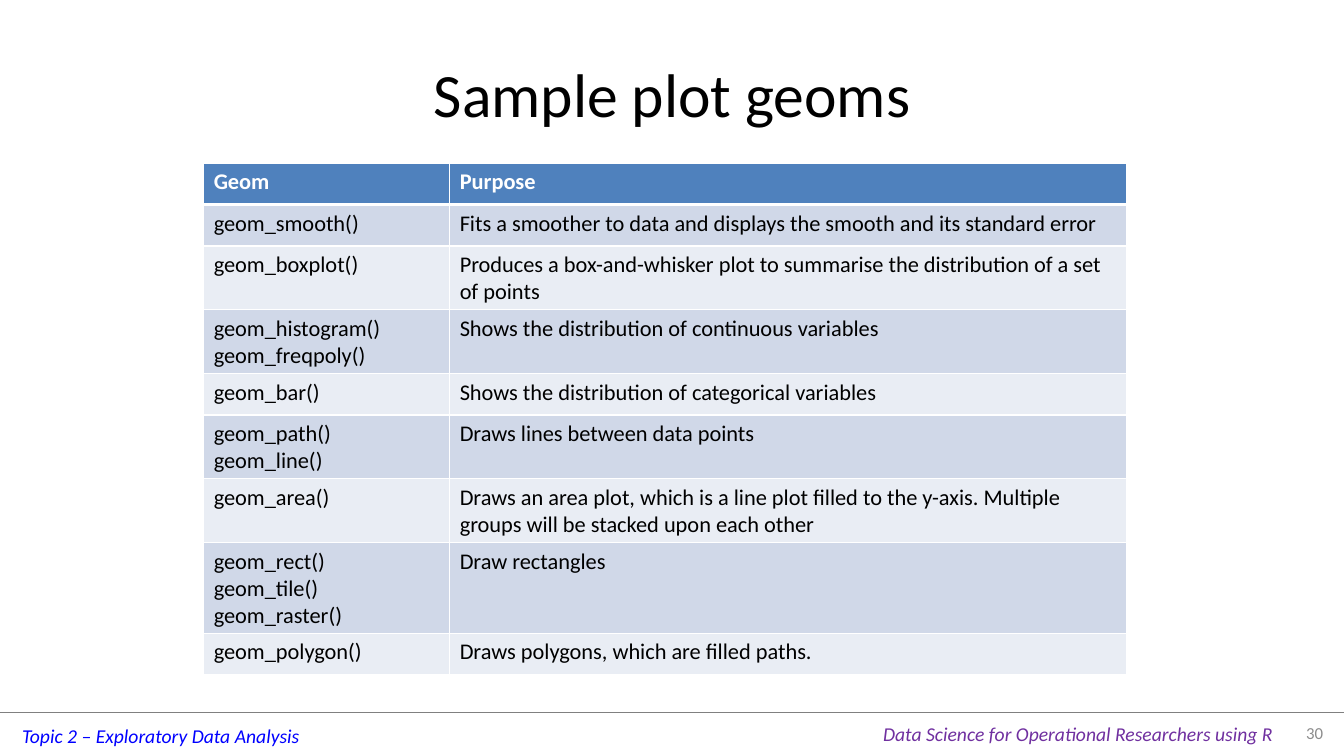
from lxml import etree
from pptx import Presentation
from pptx.dml.color import RGBColor
from pptx.enum import shapes, text
from pptx.oxml import ns
from pptx.util import Inches, Pt

HUES = {
    "black": "000000", "white": "FFFFFF", "blue": "0000FF",
    "purple": "7030A0", "gray": "8C8C8C", "rule": "808080",
    "head": "4F81BD", "odd": "D0D8E8", "even": "E9EDF4",
}

GEOMS = [
    ("Geom", "Purpose"),
    ("geom_smooth()", "Fits a smoother to data and displays the smooth and its standard error"),
    ("geom_boxplot()", "Produces a box-and-whisker plot to summarise the distribution of a set of points"),
    ("geom_histogram()\ngeom_freqpoly()", "Shows the distribution of continuous variables"),
    ("geom_bar()", "Shows the distribution of categorical variables"),
    ("geom_path()\ngeom_line()", "Draws lines between data points"),
    ("geom_area()", "Draws an area plot, which is a line plot filled to the y-axis. "
                    "Multiple groups will be stacked upon each other"),
    ("geom_rect()\ngeom_tile()\ngeom_raster()", "Draw rectangles"),
    ("geom_polygon()", "Draws polygons, which are filled paths."),
]


class Deck:
    font = "Calibri"

    def __init__(self):
        self.prs = Presentation()
        self.prs.slide_width = Inches(13.33)
        self.prs.slide_height = Inches(7.5)
        self.slide = self.prs.slides.add_slide(self.prs.slide_layouts[6])

    def hue(self, name):
        return RGBColor.from_string(HUES[name])

    def put(self, frame, words, size, hue, align=None, bold=False, italic=False):
        for i, line in enumerate(words.split("\n")):
            para = frame.add_paragraph() if i else frame.paragraphs[0]
            para.alignment = align
            run = para.add_run()
            run.text = line
            font = run.font
            font.name, font.size = self.font, Pt(size)
            font.bold, font.italic = bold, italic
            font.color.rgb = self.hue(hue)

    def label(self, box, words, size, hue, align=None, middle=False, wrap=True, italic=False):
        frame = self.slide.shapes.add_textbox(*map(Inches, box)).text_frame
        frame.word_wrap = wrap
        if middle:
            frame.vertical_anchor = text.MSO_ANCHOR.MIDDLE
        if not wrap:
            frame.auto_size = text.MSO_AUTO_SIZE.SHAPE_TO_FIT_TEXT
        self.put(frame, words, size, hue, align, italic=italic)

    def rule(self, x1, y1, x2, y2, hue, width):
        line = self.slide.shapes.add_connector(
            shapes.MSO_CONNECTOR.STRAIGHT, *map(Inches, (x1, y1, x2, y2)))
        line.line.color.rgb = self.hue(hue)
        line.line.width = Pt(width)
        etree.SubElement(line._element.spPr, ns.qn("a:effectLst"))

    def edge(self, cell, side, width):
        props = cell._tc.get_or_add_tcPr()
        line = etree.SubElement(props, ns.qn("a:ln" + side), w=str(Pt(width)))
        fill = etree.SubElement(line, ns.qn("a:solidFill"))
        etree.SubElement(fill, ns.qn("a:srgbClr"), val=HUES["white"])

    def table(self, box, rows, widths, height):
        frame = self.slide.shapes.add_table(len(rows), len(widths), *map(Inches, box))
        grid = frame.table
        for col, width in zip(grid.columns, widths):
            col.width = Inches(width)
        for r, row in enumerate(rows):
            grid.rows[r].height = Inches(height)
            tint = "head" if r == 0 else "odd" if r % 2 else "even"
            for c, words in enumerate(row):
                cell = grid.cell(r, c)
                for side in "LRTB":
                    thick = (r, side) in ((0, "B"), (1, "T"))
                    self.edge(cell, side, 3 if thick else 1)
                cell.fill.solid()
                cell.fill.fore_color.rgb = self.hue(tint)
                self.put(cell.text_frame, words, 16,
                         "black" if r else "white", bold=r == 0)
        frame.height = Inches(box[3])

    def save(self):
        self.prs.save("out.pptx")


def main():
    align = text.PP_ALIGN
    deck = Deck()
    deck.rule(0, 7.07, 13.33, 7.07, "rule", 0.25)
    deck.label((0.12, 7.13, 2.98, 0.34), "Topic 2 – Exploratory Data Analysis",
               14, "blue", wrap=False, italic=True)
    deck.label((8.66, 7.11, 4.11, 0.34), "Data Science for Operational Researchers using R",
               14, "purple", wrap=False, italic=True)
    deck.label((0.67, 0.3, 12, 1.25), "Sample plot geoms", 44, "black", align.CENTER, middle=True)
    deck.label((12.67, 7.07, 0.55, 0.39), "30", 12, "gray", align.RIGHT, middle=True)
    deck.table((2.02, 1.62, 9.15, 5.06), GEOMS, (2.44, 6.71), 0.41)
    deck.save()


if __name__ == "__main__":
    main()
